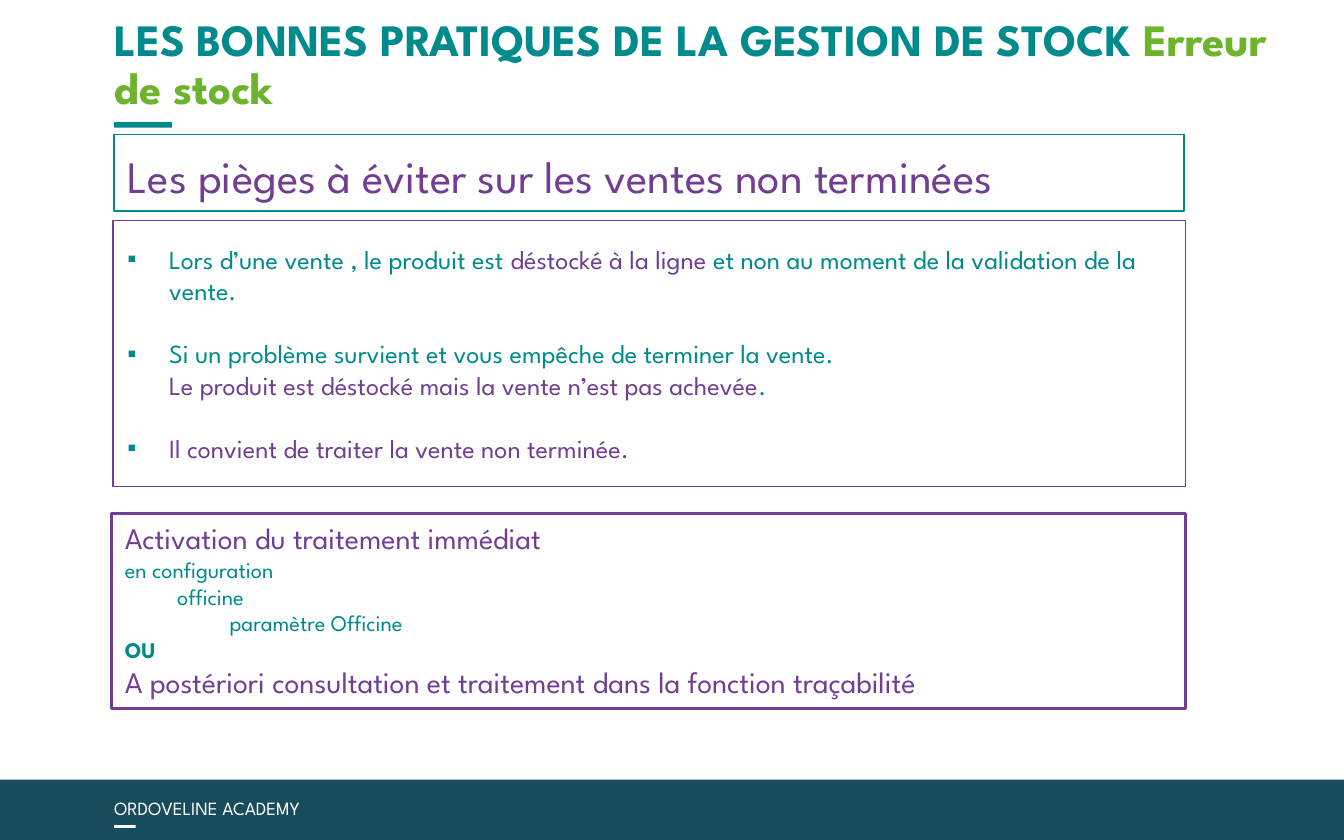
from pptx import Presentation
from pptx import util as u
from pptx.dml.color import RGBColor
from pptx.enum import shapes, text
from pptx.oxml.ns import qn
from lxml import etree

TEAL = RGBColor(0x00, 0x8A, 0x8B)
PURPLE = RGBColor(0x71, 0x3E, 0x91)
GREEN = RGBColor(0x6B, 0xB4, 0x2C)
NAVY = RGBColor(0x17, 0x4C, 0x5D)
WHITE = RGBColor(0xFF, 0xFF, 0xFF)
FONT = "League Spartan"
HANG, STEP = 0.31, 0.39  # bullet hang and nesting step, inches

# Content: a paragraph is a list of runs (words, size, colour, bold)
TITLE = [("LES BONNES PRATIQUES DE LA GESTION DE STOCK ", 24, TEAL, True),
         ("Erreur de stock", 24, GREEN, True)]
HEAD = [("Les pièges à éviter sur les ventes non terminées", 24, PURPLE, False)]
TRAPS = [
    [("Lors d’une vente , le produit est ", 14, TEAL, False),
     ("déstocké à la ligne ", 14, PURPLE, False),
     ("et non au moment de la validation de la vente.", 14, TEAL, False)],
    [("Si un problème survient et vous empêche de terminer la vente. \n",
      14, TEAL, False),
     ("Le produit est déstocké mais la vente n’est pas achevée",
      14, PURPLE, False),
     (".", 14, TEAL, False)],
    [("Il convient de traiter la vente non terminée.", 14, PURPLE, False)],
]
# Nesting level, then runs
STEPS = [
    (0, [("Activation du traitement immédiat\n", 16, PURPLE, False),
         ("en configuration", 12, TEAL, False)]),
    (1, [("officine", 12, TEAL, False)]),
    (2, [("paramètre Officine", 12, TEAL, False)]),
    (0, [("OU", 12, TEAL, True)]),
    (0, [("A postériori consultation et traitement dans la fonction traçabilité",
          16, PURPLE, False)]),
]
BRAND = [("ORDOVELINE ACADEMY", 10, WHITE, False)]

# Bars: place and fill
BARS = [((0.85, 0.91, 0.43, 0.04), TEAL),
        ((0, 5.8, 10, 0.45), NAVY),
        ((0.85, 6.14, 0.16, 0.02), WHITE)]
# Frames: place, line colour and width
FRAMES = [((0.85, 1, 7.96, 0.57), TEAL, 0.75),
          ((0.83, 3.82, 7.99, 1.45), PURPLE, 1.5),
          ((0.84, 1.64, 7.98, 1.98), PURPLE, 0.75)]

deck = Presentation()
deck.slide_width, deck.slide_height = u.Inches(10), u.Inches(6.25)
slide = deck.slides.add_slide(deck.slide_layouts[6])


def add_rect(place, fill=None, line=None, width=0):
    rect = slide.shapes.add_shape(shapes.MSO_SHAPE.RECTANGLE,
                                  *map(u.Inches, place))
    rect.shadow.inherit = False
    if fill is None:
        rect.fill.background()
    else:
        rect.fill.solid()
        rect.fill.fore_color.rgb = fill
    if line is None:
        rect.line.fill.background()
    else:
        rect.line.color.rgb = line
        rect.line.width = u.Pt(width)
    return rect


def add_box(place, wrap=True):
    box = slide.shapes.add_textbox(*map(u.Inches, place))
    box.text_frame.word_wrap = wrap
    return box.text_frame


def add_para(frame, runs, left=0, bullet=None, gap=0):
    first = not frame.paragraphs[0].runs
    para = frame.paragraphs[0] if first else frame.add_paragraph()
    para.alignment = text.PP_ALIGN.LEFT
    if not first and gap:
        para.space_before = u.Pt(gap)
    props = para._p.get_or_add_pPr()
    props.set("marL", str(u.Inches(left)))
    if bullet:
        props.set("indent", str(-u.Inches(left)))
        tint = etree.SubElement(props, qn("a:buClr"))
        etree.SubElement(tint, qn("a:srgbClr"), val=str(TEAL))
        etree.SubElement(props, qn("a:buFont"), typeface="Arial")
        etree.SubElement(props, qn("a:buChar"), char=bullet)
    for words, size, tone, bold in runs:
        run = para.add_run()
        run.text = words.rstrip("\n")
        run.font.name, run.font.size = FONT, u.Pt(size)
        run.font.color.rgb, run.font.bold = tone, bold
        if words.endswith("\n"):
            para.add_line_break()
    return para


# Bars and footer
for place, fill in BARS:
    add_rect(place, fill)
add_para(add_box((0.75, 5.88, 1.88, 0.27), False), BRAND)

# Title
frame = add_box((0.85, 0.1, 8.68, 0.75))
frame.margin_left = frame.margin_right = 0
frame.margin_top = frame.margin_bottom = 0
frame.vertical_anchor = text.MSO_ANCHOR.BOTTOM
add_para(frame, TITLE).line_spacing = 0.9

# Frames, the first two holding text
head, steps, _ = [add_rect(place, None, line, width).text_frame
                  for place, line, width in FRAMES]
for frame in (head, steps):
    frame.word_wrap = True
    frame.vertical_anchor = text.MSO_ANCHOR.TOP
add_para(head, HEAD).line_spacing = 1.15
for level, runs in STEPS:
    add_para(steps, runs, level * STEP)

# Bulleted traps, one line apart
traps = add_box((0.85, 1.76, 8.23, 1.76))
for runs in TRAPS:
    add_para(traps, runs, HANG, "▪", 17)

deck.save("out.pptx")
